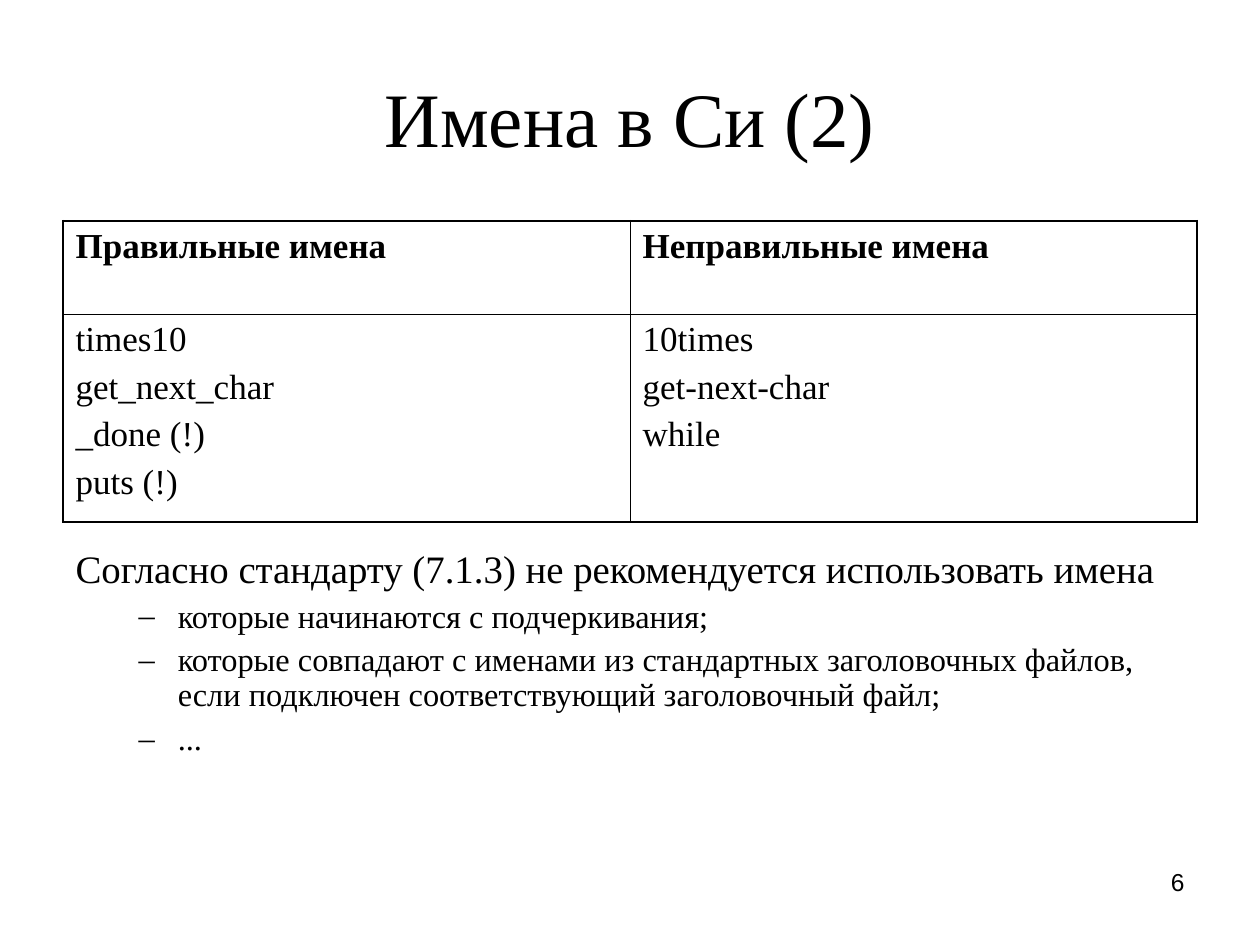
from lxml.etree import SubElement
from pptx import Presentation
from pptx.dml.color import RGBColor
from pptx.enum.text import MSO_ANCHOR, MSO_AUTO_SIZE, PP_ALIGN
from pptx.oxml.ns import qn
from pptx.util import Cm, Pt

COLORS = {"text": "000000", "border": "000000"}
SERIF, SANS = "Times New Roman", "Arial"
OUTER, INNER = 1.08, 0.45

TITLE = "Имена в Си (2)"
NAMES = [
    [["Правильные имена"], ["Неправильные имена"]],
    [
        ["times10", "get_next_char", "_done (!)", "puts (!)"],
        ["10times", "get-next-char", "while"],
    ],
]
ROW_HEIGHTS = [1.88, 4.19]
INTRO = "Согласно стандарту (7.1.3) не рекомендуется использовать имена"
RULES = [
    "которые начинаются с подчеркивания;",
    "которые совпадают с именами из стандартных заголовочных файлов, "
    "если подключен соответствующий заголовочный файл;",
    "...",
]
PAGE_NUMBER = "6"
LEFT, WIDTH = 1.27, 22.86


def place(shape, left, top, width, height):
    shape.left, shape.top = Cm(left), Cm(top)
    shape.width, shape.height = Cm(width), Cm(height)


def write(frame, lines, size, font=SERIF, bold=False, align=PP_ALIGN.LEFT, before=0):
    frame.text = "\n".join(lines)
    for para in frame.paragraphs:
        para.alignment = align
        para.space_before = Pt(before)
        for span in para.runs:
            span.font.size = Pt(size)
            span.font.name = font
            span.font.bold = bold
            span.font.color.rgb = RGBColor.from_string(COLORS["text"])


def set_bullet(para, indent, hanging, mark=None):
    properties = para._p.get_or_add_pPr()
    properties.set("marL", str(Cm(indent)))
    properties.set("indent", str(Cm(-hanging)))
    if mark:
        color = SubElement(properties, qn("a:buClr"))
        SubElement(color, qn("a:srgbClr"), val=COLORS["text"])
        SubElement(properties, qn("a:buFont"), typeface=SERIF)
        SubElement(properties, qn("a:buChar"), char=mark)
    else:
        SubElement(properties, qn("a:buNone"))


def set_borders(cell, widths):
    properties = cell._tc.get_or_add_tcPr()
    for side, width in widths.items():
        line = SubElement(properties, qn(f"a:ln{side}"), w=str(Pt(width)))
        fill = SubElement(line, qn("a:solidFill"))
        SubElement(fill, qn("a:srgbClr"), val=COLORS["border"])


def add_names_table(page):
    rows, columns = len(NAMES), len(NAMES[0])
    frame = page.shapes.add_table(
        rows, columns, Cm(LEFT), Cm(4.45), Cm(WIDTH), Cm(sum(ROW_HEIGHTS))
    )
    table = frame.table
    for row, height in enumerate(ROW_HEIGHTS):
        table.rows[row].height = Cm(height)
        for column, lines in enumerate(NAMES[row]):
            cell = table.cell(row, column)
            write(cell.text_frame, lines, 20, bold=row == 0, before=5)
            edges = {
                "L": column == 0,
                "R": column == columns - 1,
                "T": row == 0,
                "B": row == rows - 1,
            }
            set_borders(cell, {side: OUTER if edge else INNER for side, edge in edges.items()})
            cell.fill.background()


def fill_body(body):
    place(body, LEFT, 10.95, WIDTH, 6.07)
    frame = body.text_frame
    frame.auto_size = MSO_AUTO_SIZE.NONE
    write(frame, [INTRO, *RULES], 18.5, before=5)
    intro, *rules = frame.paragraphs
    intro.space_before = Pt(6)
    intro.runs[0].font.size = Pt(22.2)
    for para in frame.paragraphs:
        para.line_spacing = 0.9
    set_bullet(intro, 0, 0)
    for para in rules:
        para.level = 1
        set_bullet(para, 2.06, 0.79, "–")


def main():
    deck = Presentation()
    deck.slide_width, deck.slide_height = Cm(25.4), Cm(19.05)
    page = deck.slides.add_slide(deck.slide_layouts[1])

    title = page.shapes.title
    place(title, LEFT, 0.76, WIDTH, 3.18)
    title.text_frame.auto_size = MSO_AUTO_SIZE.NONE
    title.text_frame.vertical_anchor = MSO_ANCHOR.MIDDLE
    write(title.text_frame, [TITLE], 44, align=PP_ALIGN.CENTER)

    add_names_table(page)
    fill_body(page.placeholders[1])

    number = page.shapes.add_textbox(Cm(18.21), Cm(17.35), Cm(5.92), Cm(1.32))
    number.text_frame.word_wrap = True
    write(number.text_frame, [PAGE_NUMBER], 14, font=SANS, align=PP_ALIGN.RIGHT)

    deck.save("out.pptx")


if __name__ == "__main__":
    main()
